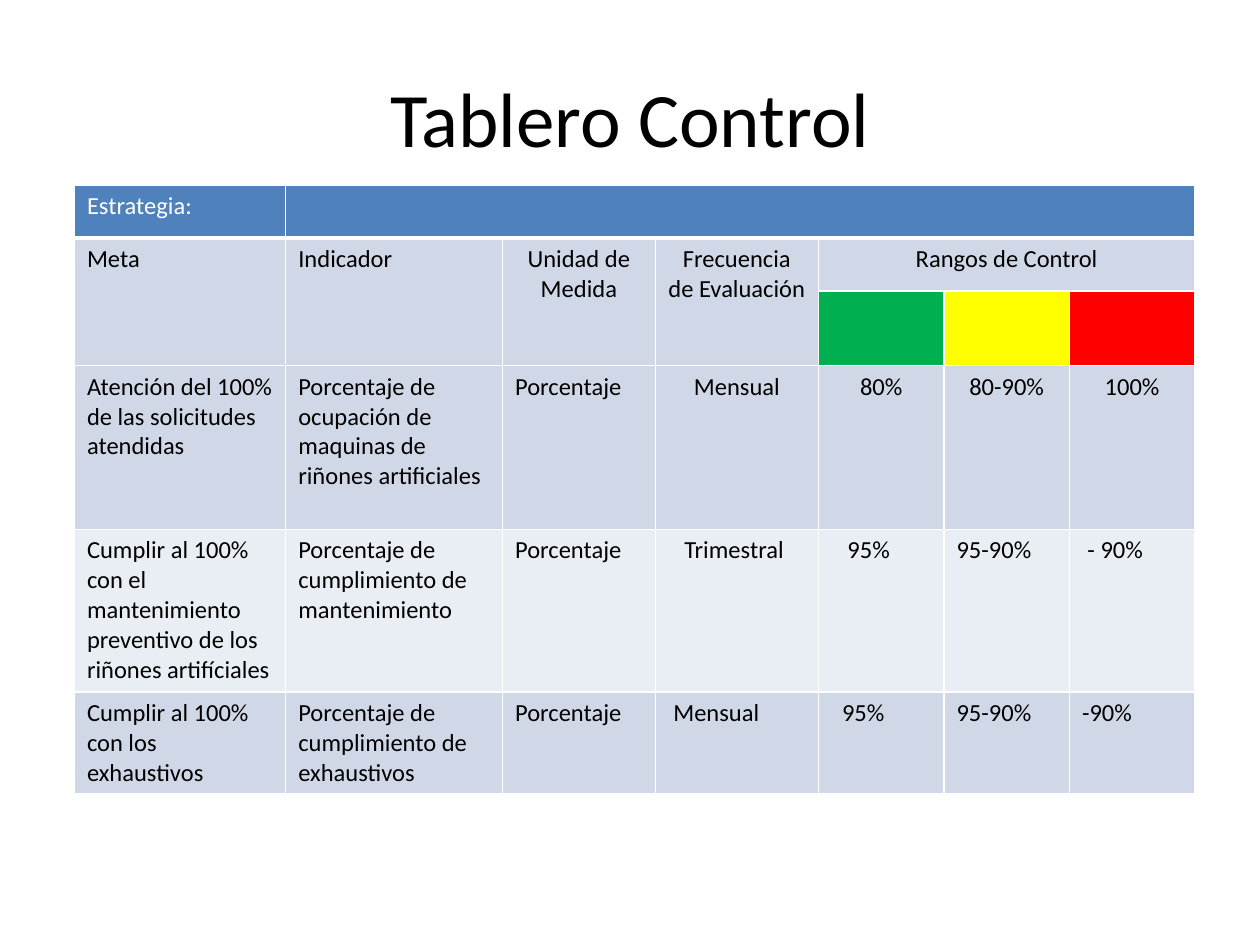
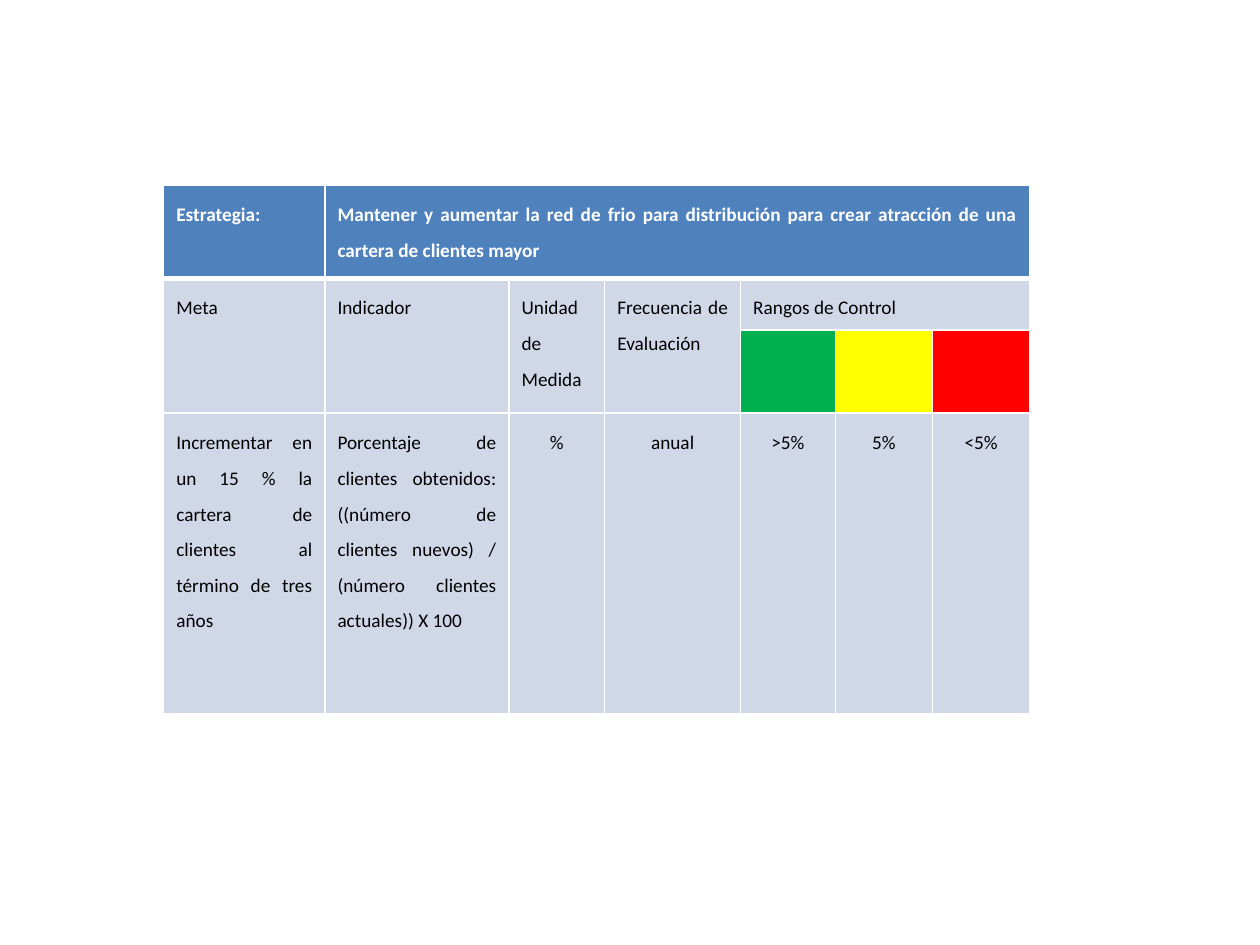
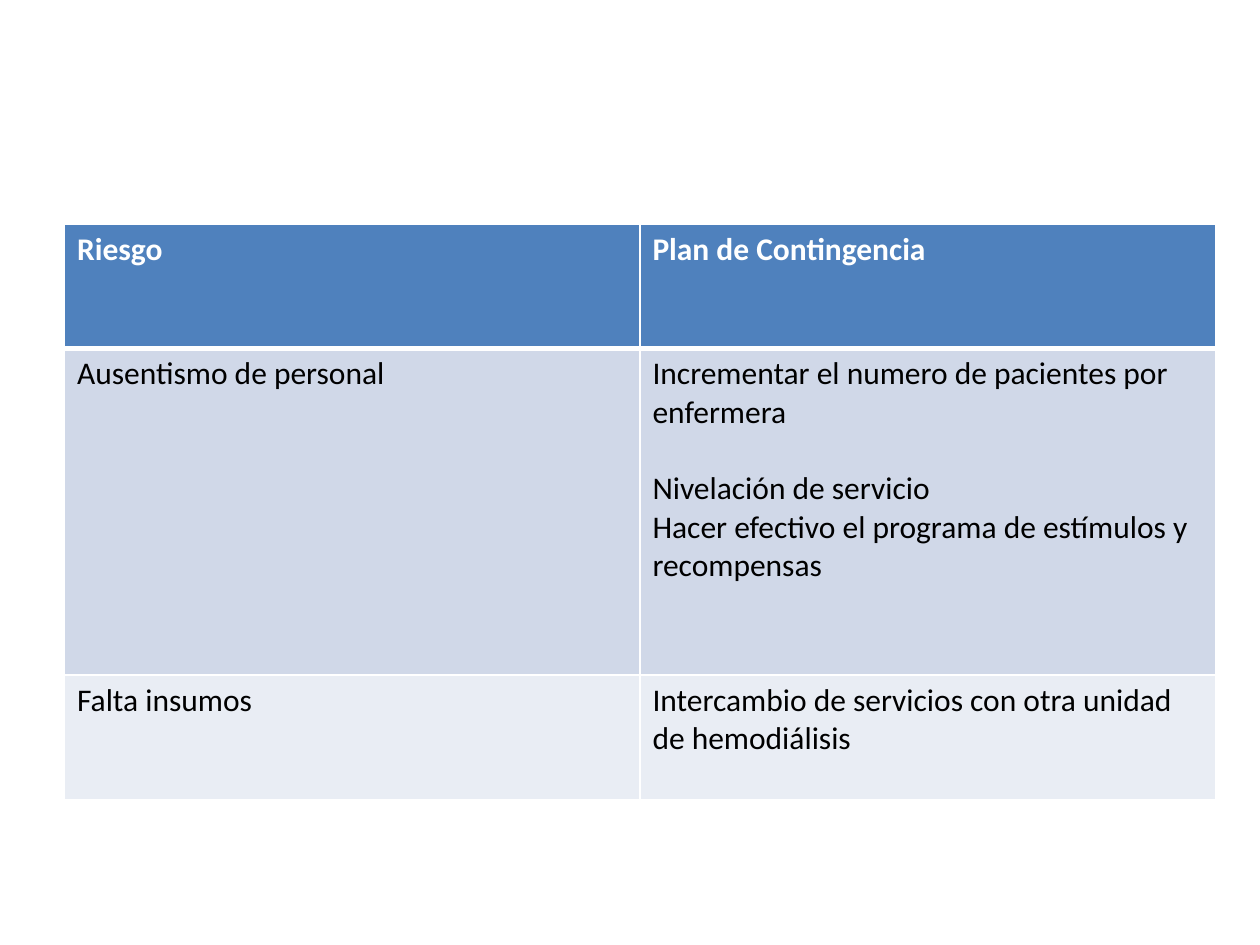
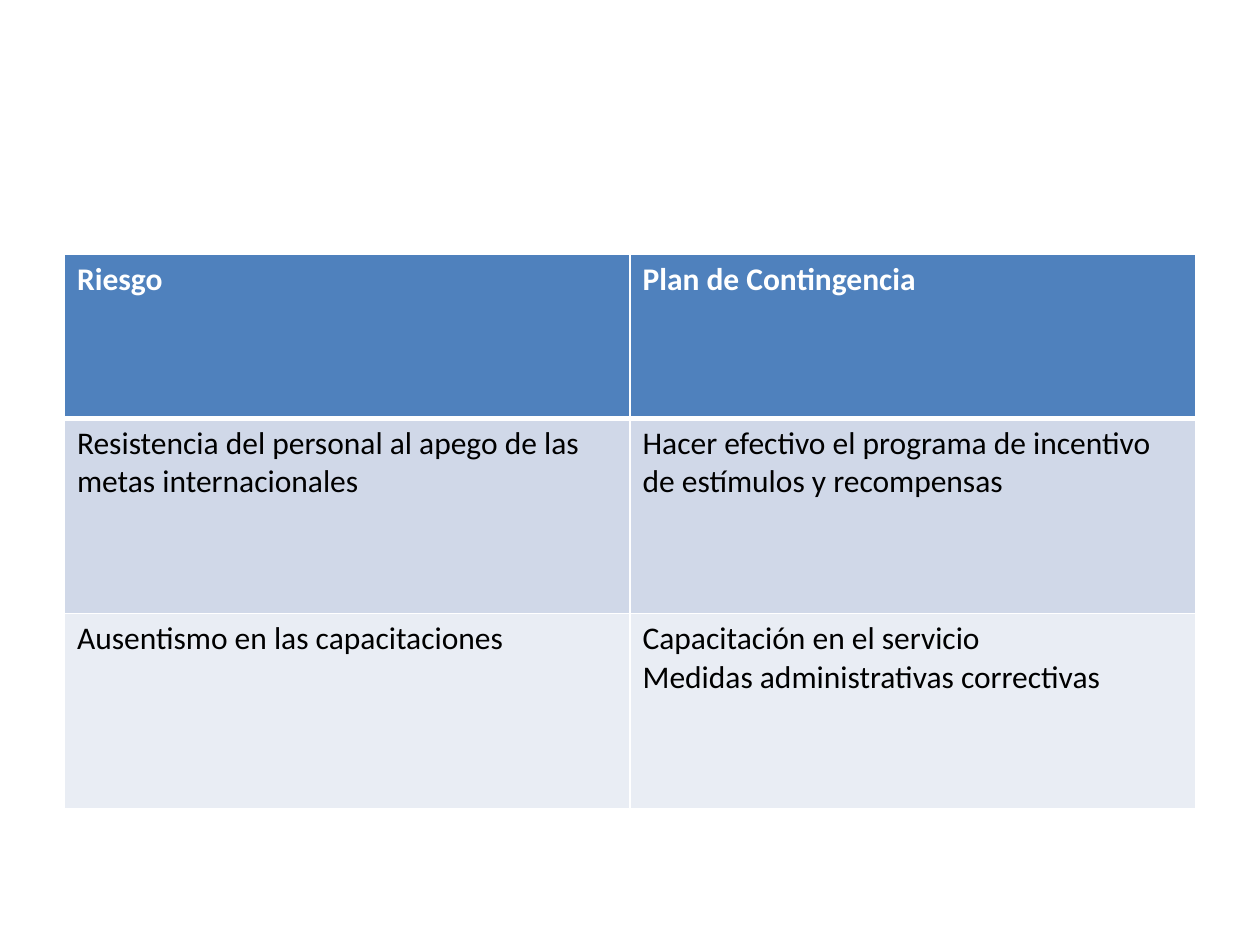
from dataclasses import dataclass
from lxml.etree import SubElement
from pptx import Presentation
from pptx.dml.color import RGBColor
from pptx.enum.text import MSO_ANCHOR, PP_ALIGN
from pptx.oxml.ns import qn
from pptx.util import Cm, Pt


# Shared look
@dataclass(frozen=True)
class Theme:
    font: str = "Calibri"
    ink: str = "000000"
    white: str = "FFFFFF"
    head: str = "4F81BD"
    bands: tuple = ("E9EDF4", "D0D8E8")
    lights: tuple = ("00B050", "FFFF00", "FF0000")
    title: int = 44
    goal: int = 14
    plan: int = 11
    risk: int = 18
    thin: int = 1
    thick: int = 3
    pad: float = 0.11


THEME = Theme()


@dataclass
class Cell:
    text: str
    align: PP_ALIGN = None
    pad: int = 0       # left indent, in steps of THEME.pad
    gap: int = None    # paragraph that has a line of space before it


@dataclass
class Style:
    size: int
    bold: bool = True  # header row
    align: PP_ALIGN = PP_ALIGN.LEFT
    lead: float = 1.0


def mid(text):
    return Cell(text, PP_ALIGN.CENTER)


def tint(part, color):
    part.fill.solid()
    part.fill.fore_color.rgb = RGBColor.from_string(color)


def ink(para, size, color, bold=False):
    for run in para.runs:
        run.font.name = THEME.font
        run.font.size = Pt(size)
        run.font.bold = bold
        run.font.color.rgb = RGBColor.from_string(color)


# Cell borders: heavier between the header and the body
def edge(cell, row):
    props = cell._tc.get_or_add_tcPr()
    heavy = {0: "lnB", 1: "lnT"}.get(row)
    for spot, side in enumerate(("lnL", "lnR", "lnT", "lnB")):
        width = THEME.thick if side == heavy else THEME.thin
        line = SubElement(props, qn("a:" + side), w=str(Pt(width)))
        fill = SubElement(line, qn("a:solidFill"))
        SubElement(fill, qn("a:srgbClr"), val=THEME.white)
        props.insert(spot, line)


def write(cell, item, row, style):
    if isinstance(item, str):
        item = Cell(item)
    cell.text_frame.text = item.text
    color = THEME.ink if row else THEME.white
    for num, para in enumerate(cell.text_frame.paragraphs):
        para.alignment = item.align or style.align
        para.line_spacing = style.lead
        if item.pad:
            props = para._p.get_or_add_pPr()
            props.set("marL", str(Cm(item.pad * THEME.pad)))
        if num == item.gap:
            para.space_before = Pt(style.size * 1.2)
        ink(para, style.size, color, style.bold and row == 0)


def grid(slide, left, top, cols, rows, data, style):
    frame = slide.shapes.add_table(len(rows), len(cols), Cm(left), Cm(top),
                                   Cm(sum(cols)), Cm(sum(rows)))
    table = frame.table
    table.first_row = table.horz_banding = False
    for col, width in zip(table.columns, cols):
        col.width = Cm(width)
    for num, (row, height) in enumerate(zip(table.rows, rows)):
        row.height = Cm(height)
        for cell in row.cells:
            tint(cell, THEME.bands[num % 2] if num else THEME.head)
            edge(cell, num)
        for cell, item in zip(row.cells, data[num]):
            if item:
                write(cell, item, num, style)
    return table


# Control board: strategy, two-row heading with traffic lights, goals
def board(slide, left, cols, rows, aim, heads, goals, style):
    data = [("Estrategia:", aim), heads, ()] + goals
    table = grid(slide, left, 3.73, cols, rows, data, style)
    table.cell(0, 1).merge(table.cell(0, 6))
    table.cell(1, 4).merge(table.cell(1, 6))
    for col in range(4):
        table.cell(1, col).merge(table.cell(2, col))
    for col, color in enumerate(THEME.lights, 4):
        tint(table.cell(2, col), color)


# Risk table: two equal columns
def risks(slide, top, width, rows, data):
    heads = ("Riesgo", "Plan de Contingencia")
    grid(slide, 1.3, top, [width] * 2, rows, [heads] + data,
         Style(THEME.risk))


def title(slide, text):
    box = slide.shapes.add_textbox(Cm(1.27), Cm(0.76), Cm(22.86), Cm(3.18))
    frame = box.text_frame
    frame.word_wrap = True
    frame.vertical_anchor = MSO_ANCHOR.MIDDLE
    frame.text = text
    para = frame.paragraphs[0]
    para.alignment = PP_ALIGN.CENTER
    ink(para, THEME.title, THEME.ink)


def main():
    deck = Presentation()
    deck.slide_width, deck.slide_height = Cm(25.4), Cm(19.05)
    one, two, three, four = [deck.slides.add_slide(deck.slide_layouts[6])
                             for _ in range(4)]
    heads = ("Meta", "Indicador", "Unidad de Medida",
             "Frecuencia de Evaluación", "Rangos de Control")

    # Slide 1: control board of the service
    title(one, "Tablero Control")
    board(one, 1.5, [4.26, 4.37, 3.08, 3.29] + [2.53] * 3,
          [1.07, 1.07, 1.5, 3.3, 3.28, 2.06], "",
          heads[:2] + tuple(map(mid, heads[2:])), [
              ("Atención del 100% de las solicitudes atendidas",
               "Porcentaje de ocupación de maquinas de riñones artificiales",
               "Porcentaje", mid("Mensual"),
               mid("80%"), mid("80-90%"), mid("100%")),
              ("Cumplir al 100% con el mantenimiento preventivo de los "
               "riñones artifíciales",
               "Porcentaje de cumplimiento de mantenimiento",
               "Porcentaje", Cell("Trimestral", pad=3),
               Cell("95%", pad=3), "95-90%", Cell("- 90%", pad=1)),
              ("Cumplir al 100% con los exhaustivos",
               "Porcentaje de cumplimiento de exhaustivos",
               "Porcentaje", Cell("Mensual", pad=1),
               Cell("95%", pad=2), "95-90%", "-90%"),
          ], Style(THEME.goal, bold=False))

    # Slide 2: control board of the client base
    board(two, 3.3, [3.25, 3.71, 1.93, 2.74, 1.91, 1.96, 1.96],
          [1.88, 1.04, 1.68, 6.05],
          "Mantener y aumentar la red de frio para distribución para crear "
          "atracción de una cartera de clientes mayor",
          heads, [
              ("Incrementar en un 15 % la cartera de clientes al término "
               "de tres años",
               "Porcentaje de clientes obtenidos: ((número de clientes "
               "nuevos) / (número clientes actuales)) X 100",
               mid("%"), mid("anual"), mid(">5%"), mid("5%"), mid("<5%")),
          ], Style(THEME.plan, align=PP_ALIGN.JUSTIFY, lead=1.5))

    # Slide 3: risks of staff and supplies
    risks(three, 4.52, 11.6, [2.51, 6.58, 2.51], [
        ("Ausentismo de personal",
         Cell("Incrementar el numero de pacientes por enfermera\n"
              "Nivelación de servicio\n"
              "Hacer efectivo el programa de estímulos y recompensas",
              gap=1)),
        ("Falta insumos",
         "Intercambio de servicios con otra unidad de hemodiálisis"),
    ])

    # Slide 4: risks of goals and training
    risks(four, 5.13, 11.4, [3.3, 3.94, 3.94], [
        ("Resistencia del personal al apego de las metas internacionales",
         "Hacer efectivo el programa de incentivo de estímulos y "
         "recompensas"),
        ("Ausentismo en las capacitaciones",
         "Capacitación en el servicio\n"
         "Medidas administrativas correctivas"),
    ])
    deck.save("out.pptx")


if __name__ == "__main__":
    main()
